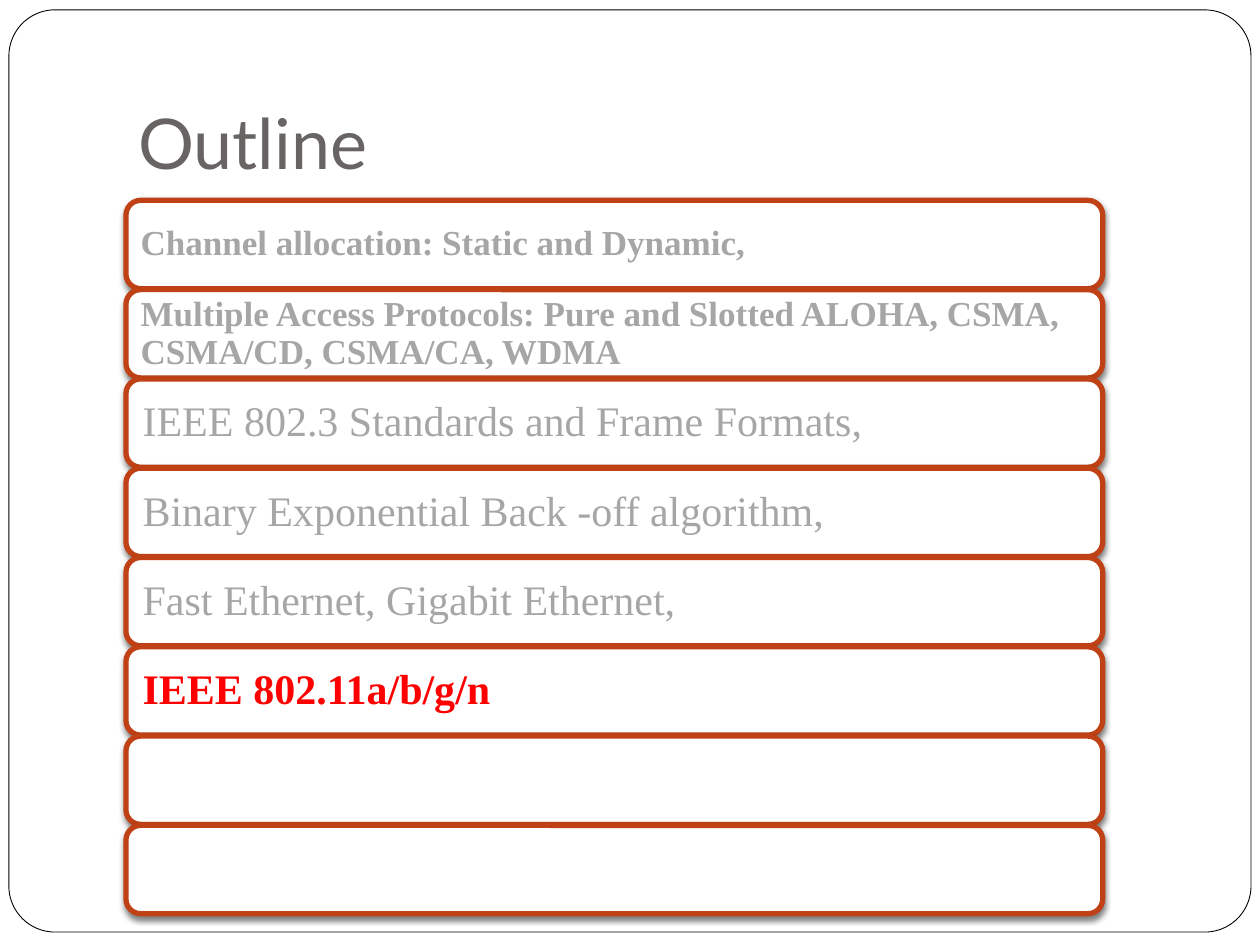
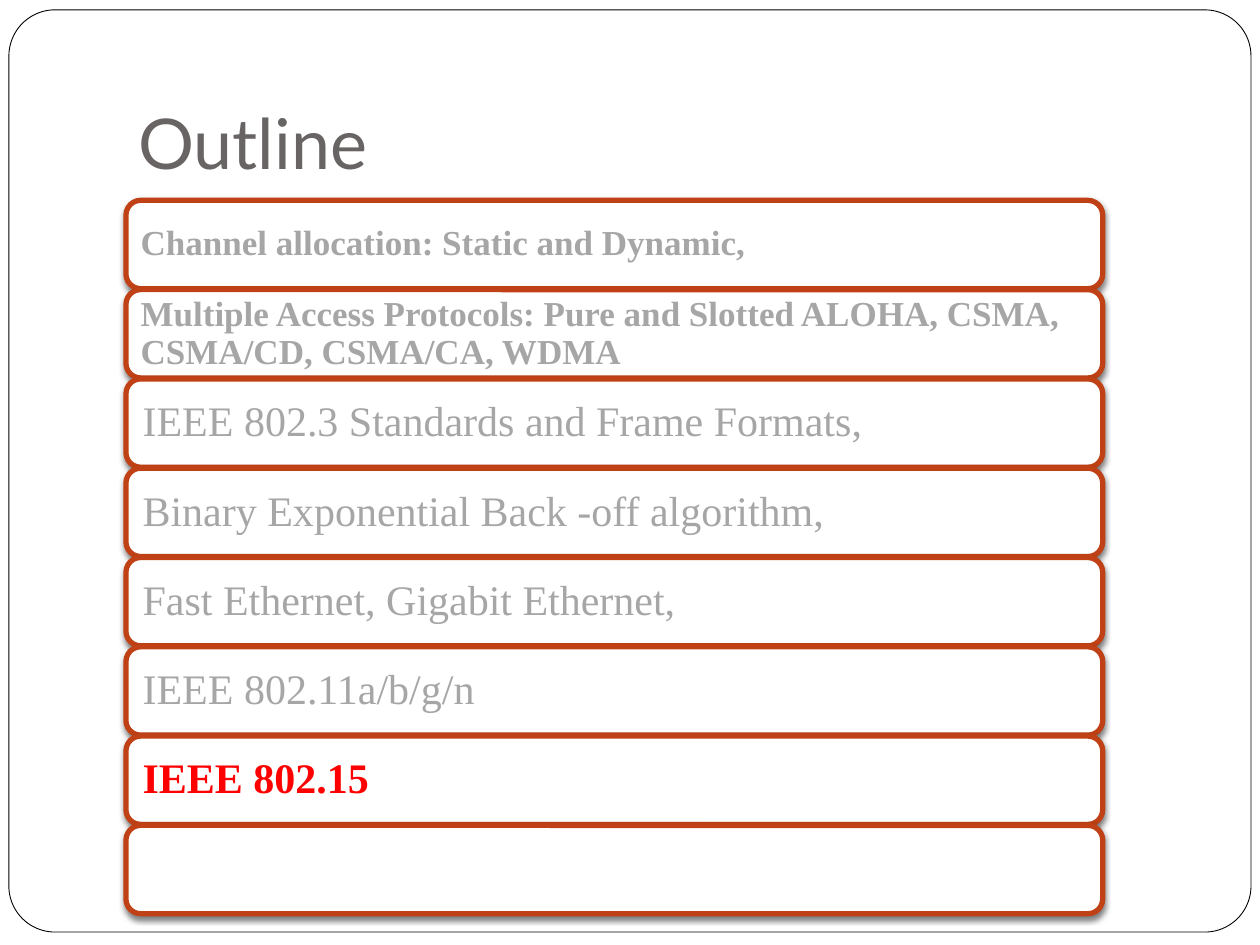
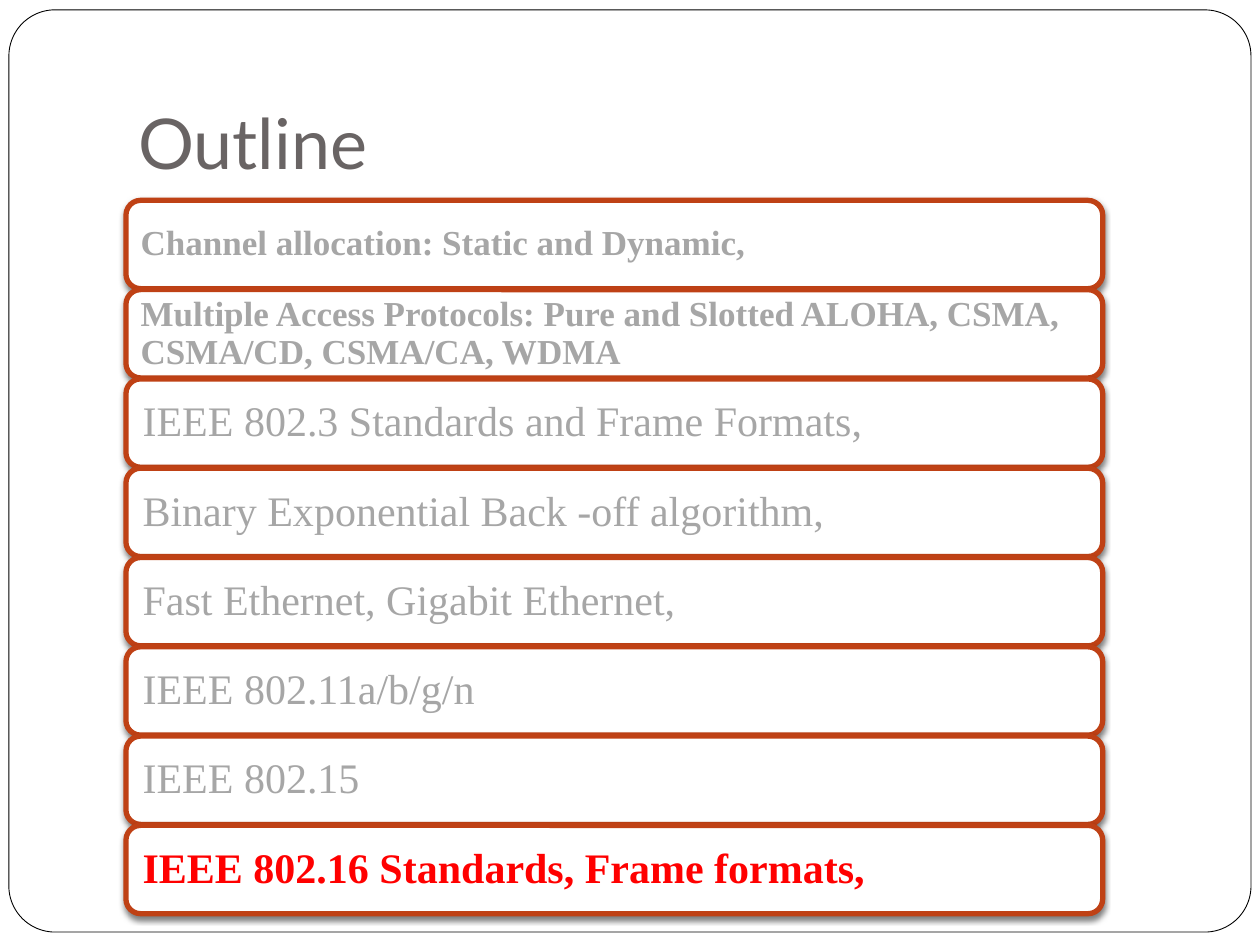
from lxml.etree import SubElement
from pptx import Presentation
from pptx.dml.color import RGBColor
from pptx.enum.shapes import MSO_SHAPE as Preset
from pptx.enum.text import MSO_ANCHOR as Anchor, PP_ALIGN as Align
from pptx.oxml.ns import qn
from pptx.util import Cm, Pt

WHITE = RGBColor(0xFF, 0xFF, 0xFF)
BLACK = RGBColor(0x00, 0x00, 0x00)
TITLE_GREY = RGBColor(0x69, 0x64, 0x64)
TOPIC_GREY = RGBColor(0xA6, 0xA6, 0xA6)
RUST = RGBColor(0xBF, 0x41, 0x15)
RED = RGBColor(0xFF, 0x00, 0x00)

TITLE_FONT = "Lato"
BODY_FONT = "Times New Roman"

PAGE_WIDTH, PAGE_HEIGHT = 25.4, 19.05
FRAME_BOX = (0.18, 0.2, 25.04, 18.59)
TITLE_BOX = (2.54, 0.76, 21.59, 3.18)
TOPICS_BOX = (2.54, 4.04, 19.69, 14.38)
ROW_GAP = 0.02

LONG_TOPICS = [
    "Channel allocation: Static and Dynamic,",
    "Multiple Access Protocols: Pure and Slotted ALOHA, CSMA, CSMA/CD, CSMA/CA, WDMA",
]
TOPICS = LONG_TOPICS + [
    "IEEE 802.3 Standards and Frame Formats,",
    "Binary Exponential Back -off algorithm,",
    "Fast Ethernet, Gigabit Ethernet,",
    "IEEE 802.11a/b/g/n",
    "IEEE 802.15",
    "IEEE 802.16 Standards, Frame formats,",
]
CURRENT_TOPICS = [5, 6, 7]


def write(holder, text, *, size, color, font=BODY_FONT, bold=False,
          anchor=Anchor.MIDDLE, insets=(0.25, 0.25, 0.25, 0.25), spacing=1.0):
    """Write one formatted left-aligned paragraph; insets run left, top, right, bottom."""
    frame = holder.text_frame
    frame.word_wrap = True
    frame.vertical_anchor = anchor
    (frame.margin_left, frame.margin_top,
     frame.margin_right, frame.margin_bottom) = map(Cm, insets)
    paragraph = frame.paragraphs[0]
    paragraph.alignment = Align.LEFT
    paragraph.line_spacing = spacing
    run = paragraph.add_run()
    run.text = text
    run.font.name = font
    run.font.size = Pt(size)
    run.font.bold = bold
    run.font.color.rgb = color


def add_panel(shapes, box, line_color, line_width):
    """Add a white rounded panel without shadow."""
    panel = shapes.add_shape(Preset.ROUNDED_RECTANGLE, *map(Cm, box))
    panel.shadow.inherit = False
    panel.fill.solid()
    panel.fill.fore_color.rgb = WHITE
    panel.line.color.rgb = line_color
    panel.line.width = Pt(line_width)
    return panel


def cast_shadow(panel):
    """Give a panel a soft half-transparent shadow straight below it."""
    effects = panel.element.spPr.find(qn("a:effectLst"))
    shadow = SubElement(effects, qn("a:outerShdw"), blurRad=str(Pt(3)),
                        dist=str(Pt(2)), dir="5400000", rotWithShape="0")
    tint = SubElement(shadow, qn("a:srgbClr"), val=str(BLACK))
    SubElement(tint, qn("a:alpha"), val="50000")


def add_frame(slide, box):
    """Draw the thin rounded border of the page."""
    border = add_panel(slide.shapes, box, BLACK, 0.5)
    border.adjustments[0] = 0.05


def add_title(slide, box, text):
    """Place the slide title at the bottom of its box."""
    title = slide.shapes.add_textbox(*map(Cm, box))
    write(title, text, size=40, color=TITLE_GREY, font=TITLE_FONT,
          anchor=Anchor.BOTTOM, insets=(0.25, 0.13, 0.25, 0.25))


def add_topics(slide, box, current):
    """Stack one row per topic, filled in up to the highlighted current one."""
    left, top, width, height = box
    pitch = (height + ROW_GAP) / len(TOPICS)
    rows = slide.shapes.add_group_shape().shapes
    for index, topic in enumerate(TOPICS):
        row = add_panel(rows, (left, top + index * pitch, width, pitch - ROW_GAP), RUST, 3)
        cast_shadow(row)
        if index > current:
            continue
        is_long = topic in LONG_TOPICS
        is_current = index == current
        write(row, topic, size=20 if is_long else 24,
              color=RED if is_current else TOPIC_GREY,
              bold=is_long or is_current,
              insets=(0.21 if is_long else 0.25,) * 4, spacing=0.9)


def add_outline_slide(deck, current):
    """Add an outline slide that highlights the current topic."""
    slide = deck.slides.add_slide(deck.slide_layouts[6])
    add_frame(slide, FRAME_BOX)
    add_title(slide, TITLE_BOX, "Outline")
    add_topics(slide, TOPICS_BOX, current)


def main():
    """Build the outline slides and save the deck."""
    deck = Presentation()
    deck.slide_width, deck.slide_height = Cm(PAGE_WIDTH), Cm(PAGE_HEIGHT)
    for current in CURRENT_TOPICS:
        add_outline_slide(deck, current)
    deck.save("out.pptx")


if __name__ == "__main__":
    main()
